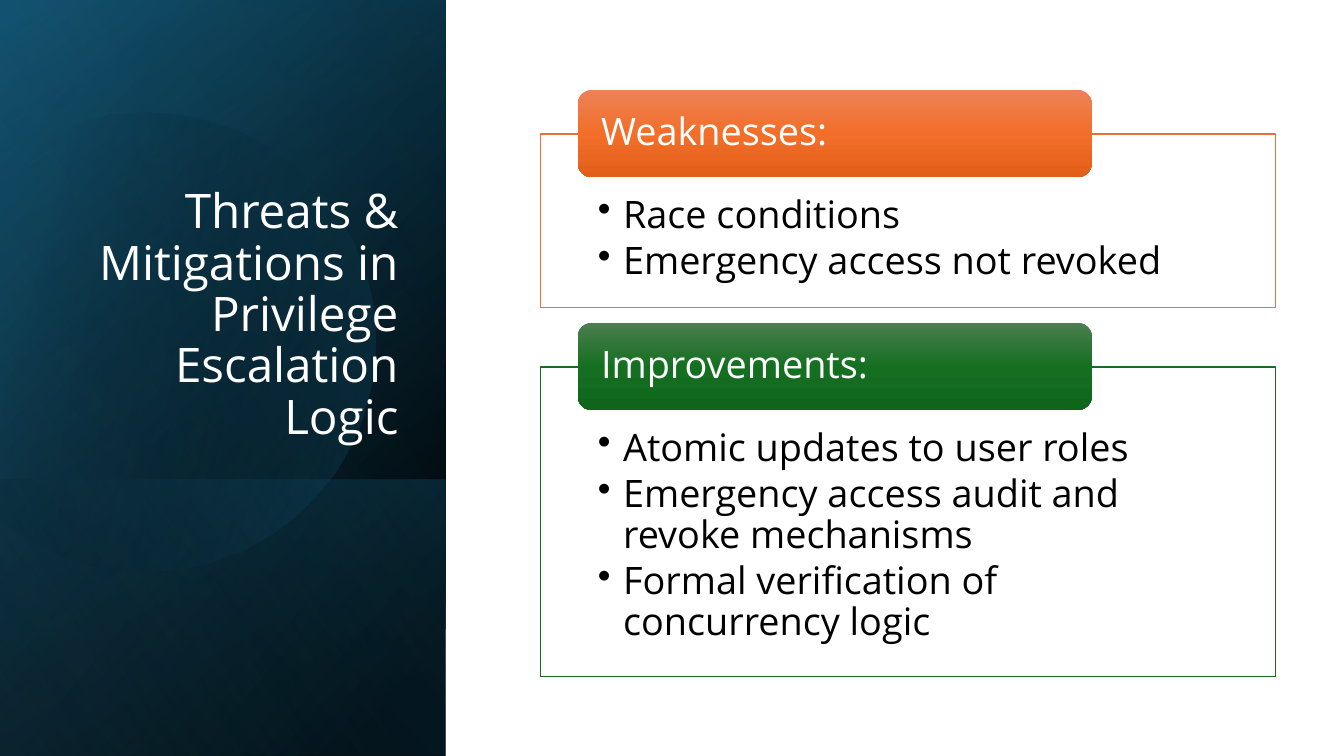
from math import cos, radians, sin
from lxml.etree import SubElement
from pptx import Presentation
from pptx.dml.color import RGBColor
from pptx.enum.shapes import MSO_SHAPE as SHAPE
from pptx.enum.text import MSO_ANCHOR as ANCHOR, PP_ALIGN as ALIGN
from pptx.oxml.ns import qn
from pptx.util import Pt

PX = 9144
FONT = "Open Sans"
COLORS = {
    "white": "FFFFFF", "black": "000000", "navy": "104862",
    "teal": "156082", "sky": "46B1E1",
    "orange": "E97132", "orange_top": "ED8257",
    "orange_mid": "F26E29", "orange_low": "E25F1A",
    "green": "196B24", "green_top": "4D7E50",
    "green_mid": "156F21", "green_low": "0F661B",
}


def fill_gradient(shape, stops, angle):
    shape.shadow.inherit = False
    shape.line.fill.background()
    shape.fill.gradient()
    gradient = shape.fill._fill._gradFill
    for child in list(gradient):
        gradient.remove(child)
    gradient.set("rotWithShape", "1")
    stop_list = SubElement(gradient, qn("a:gsLst"))
    for position, color, opacity in stops:
        stop = SubElement(stop_list, qn("a:gs"), pos=str(position * 1000))
        tint = SubElement(stop, qn("a:srgbClr"), val=COLORS[color])
        if opacity < 100:
            SubElement(tint, qn("a:alpha"), val=str(opacity * 1000))
    SubElement(gradient, qn("a:lin"), ang=str(angle * 60000), scaled="0")


def write_lines(shape, lines, size, color, anchor, insets, space=0):
    frame = shape.text_frame
    frame.word_wrap = True
    frame.vertical_anchor = anchor
    frame.margin_left, frame.margin_top, frame.margin_right, frame.margin_bottom = [
        inset * PX for inset in insets]
    for index, line in enumerate(lines):
        para = frame.paragraphs[0] if index == 0 else frame.add_paragraph()
        para.text = line
        para.alignment = ALIGN.LEFT
        para.line_spacing = 0.9
        para.space_after = Pt(space)
        para.font.name = FONT
        para.font.size = Pt(size)
        para.font.color.rgb = RGBColor.from_string(COLORS[color])
    return frame.paragraphs


deck = Presentation()
deck.slide_width, deck.slide_height = 1333 * PX, 750 * PX
page = deck.slides.add_slide(deck.slide_layouts[6])
shapes = page.shapes

full_panel = (-154, 154, 750, 442)
low_panel = (84, 392, 274, 442)
panels = [
    (full_panel, [(8, "black", 100), (100, "navy", 100)], 50),
    (full_panel, [(0, "black", 0), (99, "teal", 46)], 30),
    (low_panel, [(2, "teal", 29), (100, "black", 30)], 130),
    (None, [(29, "black", 0), (100, "teal", 43)], 30),
    (full_panel, [(0, "black", 0), (99, "sky", 11)], 120),
]
for place, stops, angle in panels:
    if place:
        panel = shapes.add_shape(SHAPE.RECTANGLE, *[side * PX for side in place])
        panel.rotation = 90
        panel._element.spPr.find(qn("a:xfrm")).set("flipH", "1")
    else:
        rim = [(144 + 228 * cos(radians(turn)), 335 + 228 * sin(radians(turn)))
               for turn in range(-118, 151, 4)]
        outline = shapes.build_freeform(*rim[0], scale=PX)
        outline.add_line_segments(rim[1:], close=True)
        panel = outline.convert_to_shape()
        panel.rotation = 343.9
    fill_gradient(panel, stops, angle)

title = shapes.add_textbox(64 * PX, 184 * PX, 341 * PX, 262 * PX)
title_paras = write_lines(
    title, ["Threats & Mitigations in Privilege Escalation Logic"],
    34, "white", ANCHOR.BOTTOM, (10, 5, 10, 5))
title_paras[0].alignment = ALIGN.RIGHT

sections = [
    ("Weaknesses:", "orange", 133, 172,
     ["Race conditions", "Emergency access not revoked"]),
    ("Improvements:", "green", 364, 307,
     ["Atomic updates to user roles",
      "Emergency access audit and revoke mechanisms",
      "Formal verification of concurrency logic"]),
]
for heading, color, top, height, items in sections:
    box = shapes.add_shape(SHAPE.RECTANGLE, 536 * PX, top * PX, 729 * PX, height * PX)
    box.shadow.inherit = False
    box.fill.solid()
    box.fill.fore_color.rgb = RGBColor.from_string(COLORS["white"])
    box.line.color.rgb = RGBColor.from_string(COLORS[color])
    box.line.width = Pt(1)
    for para in write_lines(box, items, 27, "black", ANCHOR.TOP, (57, 61, 57, 21), 4):
        props = para._p.get_or_add_pPr()
        props.set("marL", str(25 * PX))
        props.set("indent", str(-25 * PX))
        bullet = props.makeelement(qn("a:buChar"), {"char": "•"})
        props.insert_element_before(bullet, "a:tabLst", "a:defRPr", "a:extLst")

    tab = shapes.add_shape(SHAPE.ROUNDED_RECTANGLE, 573 * PX, (top - 44) * PX, 510 * PX, 87 * PX)
    fill_gradient(tab, [(0, color + "_top", 100), (50, color + "_mid", 100),
                        (100, color + "_low", 100)], 90)
    write_lines(tab, [heading], 27, "white", ANCHOR.MIDDLE, (19, 0, 19, 0))

deck.save("out.pptx")
